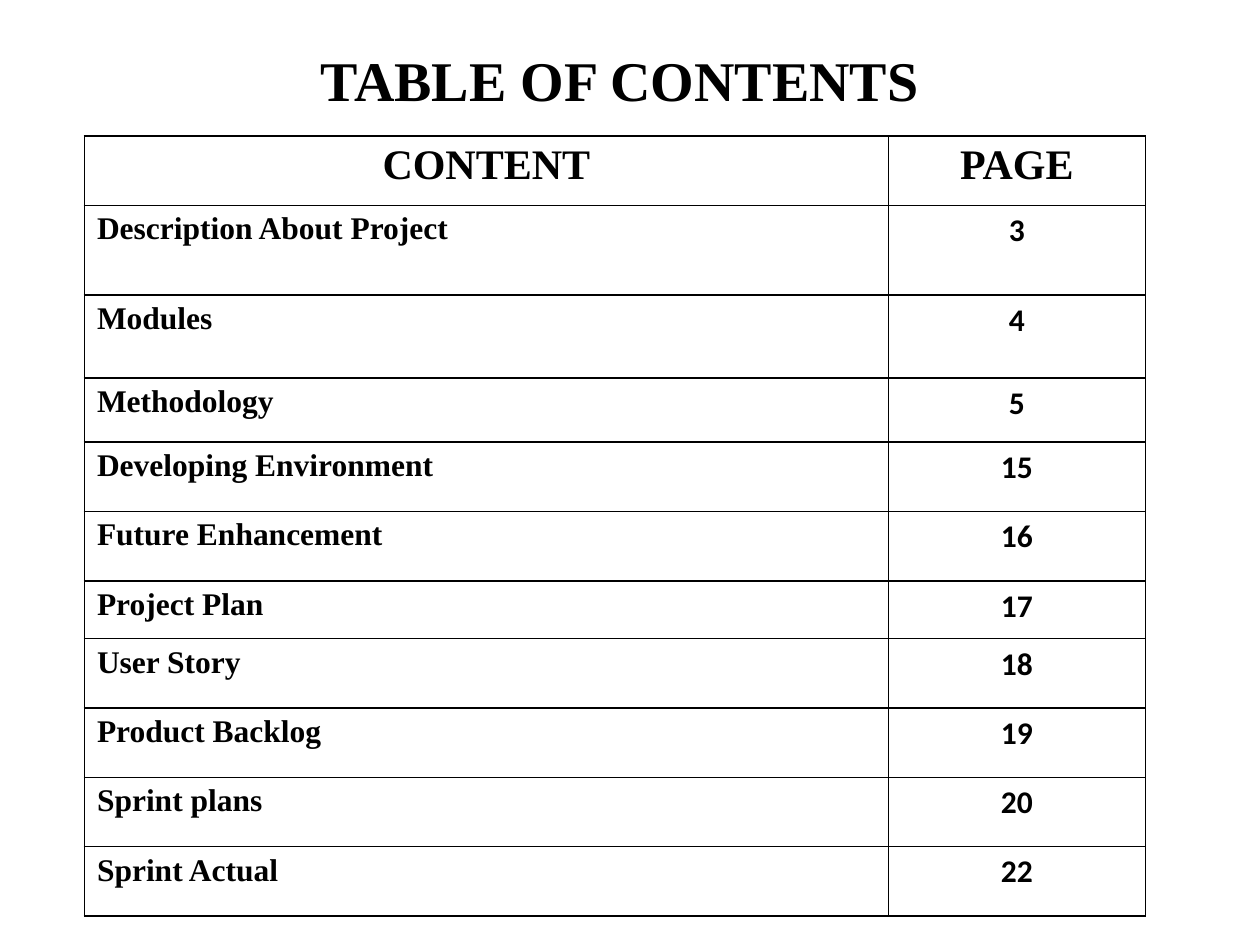
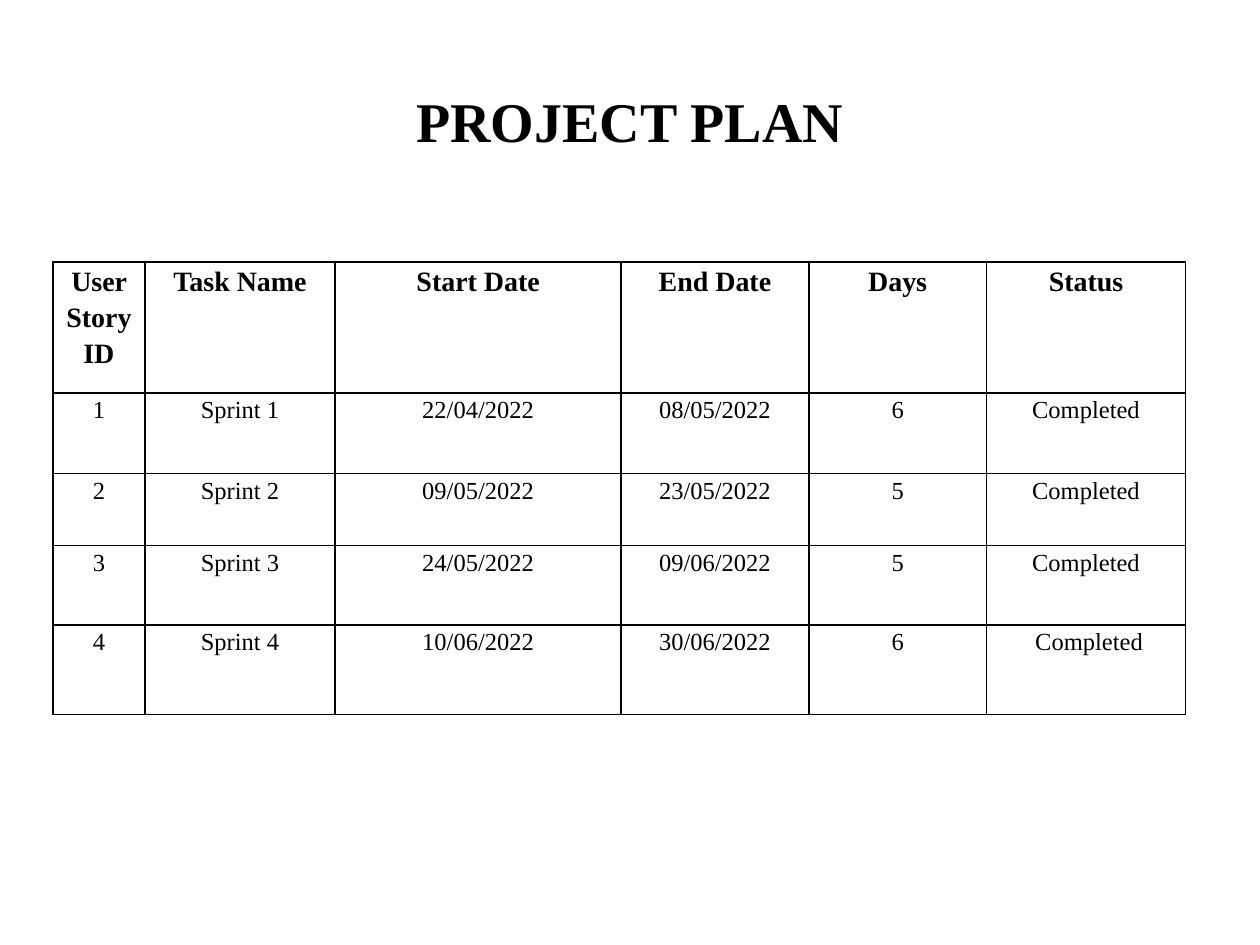
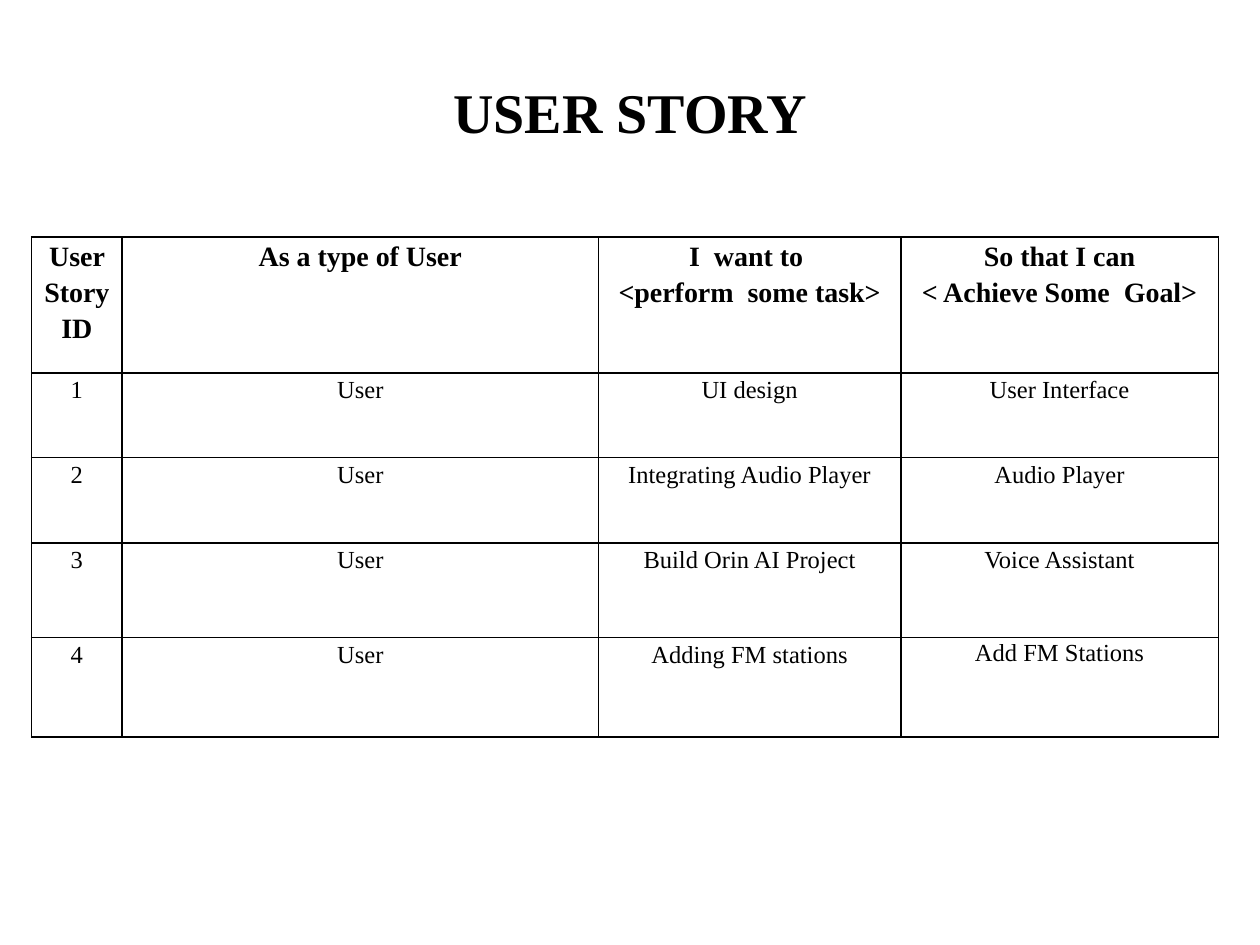
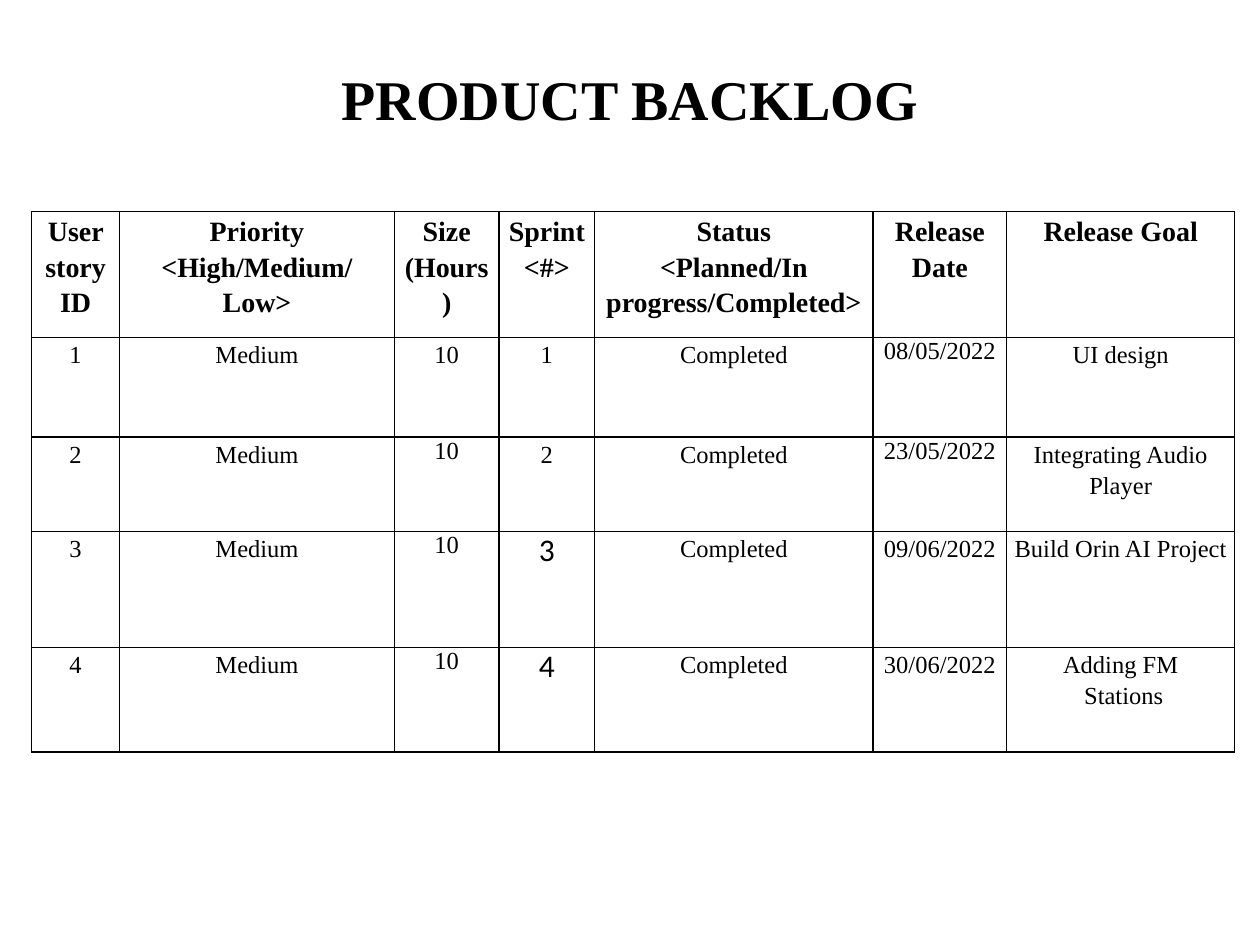
import pptx
import pptx.dml.color
import pptx.enum.text
import pptx.oxml
import pptx.oxml.ns
import pptx.util

Inches = pptx.util.Inches
Pt = pptx.util.Pt
ALIGN = pptx.enum.text.PP_ALIGN
BLACK = "000000"
WHITE = "FFFFFF"
SERIF = "Times New Roman"
SANS = "Calibri"

TITLE_FORMAT = {"name": SERIF, "size": Pt(32), "bold": True}
HEADER_FORMAT = {"name": SERIF, "size": Pt(16), "bold": True}
BODY_FORMAT = {"name": SERIF, "size": Pt(14), "bold": False}
CONTENTS_FORMAT = {"name": SERIF, "size": Pt(18), "bold": True}
SINGLE = {"spacing": 1.0}
SANS_NUMBER = {"spacing": 1.0, "name": SANS, "size": Pt(18)}

SLIDES = [
    {
        "title": "TABLE OF CONTENTS",
        "title_box": (0.42, 0, 9, 1.25),
        "table_at": (0.67, 1.08),
        "columns": [6.38, 2.04],
        "row_heights": [0.55, 0.71, 0.66, 0.51, 0.55, 0.55, 0.46] + [0.55] * 4,
        "margins": (0.1, 0.05),
        "spacing": 1.0,
        "header_format": {**CONTENTS_FORMAT, "size": Pt(24)},
        "body_format": CONTENTS_FORMAT,
        "rows": [
            ("CONTENT", "PAGE"),
            ("Description About Project", "3"),
            ("Modules", "4"),
            ("Methodology", "5"),
            ("Developing Environment", "15"),
            ("Future Enhancement", "16"),
            ("Project Plan", "17"),
            ("User Story", "18"),
            ("Product Backlog", "19"),
            ("Sprint plans", "20"),
            ("Sprint Actual", "22"),
        ],
        "exceptions": {
            (row, column): cell_format
            for row in range(1, 11)
            for column, cell_format in enumerate([{"alignment": ALIGN.LEFT}, {"name": SANS}])
        },
    },
    {
        "title": "PROJECT PLAN",
        "title_box": (0.5, 0.33, 9, 1.25),
        "table_at": (0.42, 2.08),
        "columns": [0.73, 1.51, 2.27, 1.49, 1.41, 1.58],
        "row_heights": [1.04, 0.64, 0.57, 0.63, 0.71],
        "margins": (0.07, 0),
        "rows": [
            ("User Story ID", "Task Name", "Start Date", "End Date", "Days", "Status"),
            ("1", "Sprint 1", "22/04/2022", "08/05/2022", "6", "Completed"),
            ("2", "Sprint 2", "09/05/2022", "23/05/2022", "5", "Completed"),
            ("3", "Sprint 3", "24/05/2022", "09/06/2022", "5", "Completed"),
            ("4", "Sprint 4", "10/06/2022", "30/06/2022", "6", " Completed"),
        ],
    },
    {
        "title": "USER STORY",
        "title_box": (0.5, 0.42, 9, 0.92),
        "table_at": (0.25, 1.88),
        "columns": [0.72, 3.78, 2.4, 2.52],
        "row_heights": [1.08, 0.67, 0.68, 0.75, 0.79],
        "margins": (0.07, 0),
        "rows": [
            ("User Story ID", "As a type of User", "I  want to \n<perform  some task>",
             "So that I can\n< Achieve Some  Goal>"),
            ("1", "User", "UI design", "User Interface"),
            ("2", "User", "Integrating Audio Player", "Audio Player"),
            ("3", "User", "Build Orin AI Project", "Voice Assistant"),
            ("4", "User", "Adding FM stations", "Add FM Stations"),
        ],
        "exceptions": {(4, 3): {"spacing": 1.07}},
    },
    {
        "title": "PRODUCT BACKLOG",
        "title_box": (0.5, 0.3, 9, 0.95),
        "table_at": (0.25, 1.68),
        "columns": [0.7, 2.18, 0.83, 0.76, 2.21, 1.06, 1.81],
        "row_heights": [1, 0.79, 0.75, 0.92, 0.83],
        "margins": (0.06, 0),
        "rows": [
            ("User story ID", "Priority\n<High/Medium/Low>", "Size\n(Hours)", "Sprint\n<#>",
             "Status\n<Planned/In progress/Completed>", "Release\nDate", "Release Goal"),
            ("1", "Medium", "10", "1", "Completed", "08/05/2022", "UI design"),
            ("2", "Medium", "10", "2", "Completed", "23/05/2022", "Integrating Audio Player"),
            ("3", "Medium", "10", "3", "Completed", "09/06/2022", "Build Orin AI Project"),
            ("4", "Medium", "10", "4", "Completed", "30/06/2022", "Adding FM\n Stations"),
        ],
        "exceptions": {
            (1, 5): SINGLE, (2, 5): SINGLE,
            (2, 2): SINGLE, (3, 2): SINGLE, (4, 2): SINGLE,
            (3, 3): SANS_NUMBER, (4, 3): SANS_NUMBER,
        },
    },
]


def color(value):
    return pptx.dml.color.RGBColor.from_string(value)


def write_text(text_frame, text, cell_format):
    values = {"alignment": ALIGN.CENTER, "spacing": 1.0, **cell_format}
    alignment, spacing = values.pop("alignment"), values.pop("spacing")
    text_frame.text = text
    for paragraph in text_frame.paragraphs:
        paragraph.alignment = alignment
        paragraph.line_spacing = spacing
        for run in paragraph.runs:
            for name, value in values.items():
                setattr(run.font, name, value)
            run.font.color.rgb = color(BLACK)


def style_cell(cell, margins):
    horizontal, vertical = map(Inches, margins)
    cell.margin_left = cell.margin_right = horizontal
    cell.margin_top = cell.margin_bottom = vertical
    properties = cell._tc.get_or_add_tcPr()
    for side in ("lnL", "lnR", "lnT", "lnB"):
        properties.append(pptx.oxml.parse_xml(
            f'<a:{side} {pptx.oxml.ns.nsdecls("a")} w="{Pt(1)}"><a:solidFill>'
            f'<a:srgbClr val="{BLACK}"/></a:solidFill></a:{side}>'))
    cell.fill.solid()
    cell.fill.fore_color.rgb = color(WHITE)


def add_title(slide, text, box):
    title = slide.shapes.title
    for name, value in zip(("left", "top", "width", "height"), box):
        setattr(title, name, Inches(value))
    title.text_frame.vertical_anchor = pptx.enum.text.MSO_ANCHOR.MIDDLE
    write_text(title.text_frame, text, TITLE_FORMAT)


def add_grid(slide, content):
    columns, heights = content["columns"], content["row_heights"]
    left, top = content["table_at"]
    table = slide.shapes.add_table(
        len(heights), len(columns), Inches(left), Inches(top),
        Inches(sum(columns)), Inches(sum(heights))).table
    table.first_row = table.horz_banding = False
    for column, width in zip(table.columns, columns):
        column.width = Inches(width)
    for row, height in zip(table.rows, heights):
        row.height = Inches(height)
    header_format = content.get("header_format", HEADER_FORMAT)
    body_format = content.get("body_format", BODY_FORMAT)
    for row, texts in enumerate(content["rows"]):
        for column, text in enumerate(texts):
            cell = table.cell(row, column)
            style_cell(cell, content["margins"])
            write_text(cell.text_frame, text, {
                "spacing": content.get("spacing", 1.15),
                **(body_format if row else header_format),
                **content.get("exceptions", {}).get((row, column), {}),
            })


def main():
    presentation = pptx.Presentation()
    presentation.slide_width = Inches(10)
    presentation.slide_height = Inches(7.5)
    for content in SLIDES:
        slide = presentation.slides.add_slide(presentation.slide_layouts.get_by_name("Title Only"))
        add_title(slide, content["title"], content["title_box"])
        add_grid(slide, content)
    presentation.save("out.pptx")


if __name__ == "__main__":
    main()
